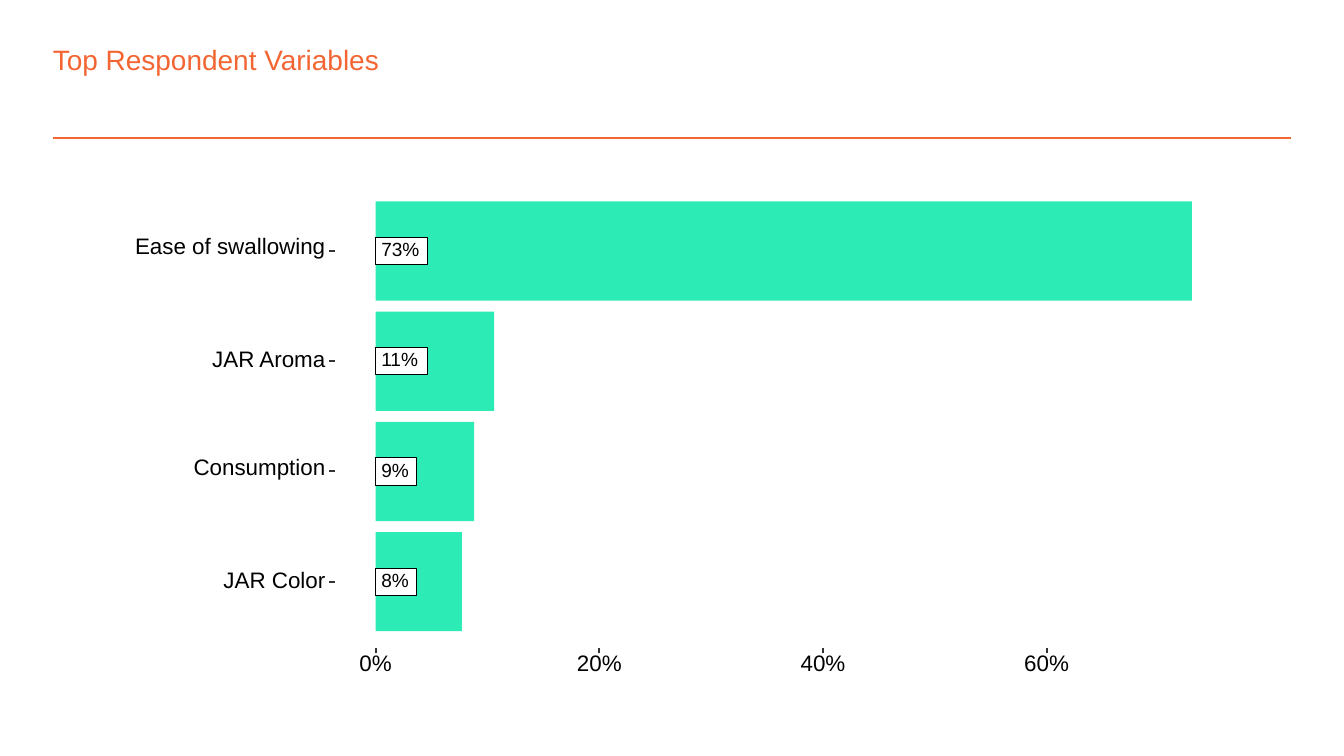
from pptx import Presentation
from pptx.dml.color import RGBColor
from pptx.enum.shapes import MSO_CONNECTOR, MSO_SHAPE
from pptx.enum.text import MSO_ANCHOR, PP_ALIGN
from pptx.oxml.ns import qn
from pptx.util import Pt
from lxml import etree

RECTANGLE = MSO_SHAPE.RECTANGLE
STRAIGHT = MSO_CONNECTOR.STRAIGHT
MIDDLE = MSO_ANCHOR.MIDDLE
LEFT, CENTER, RIGHT = PP_ALIGN.LEFT, PP_ALIGN.CENTER, PP_ALIGN.RIGHT

COLORS = {
    "accent": "F36633",
    "bar": "2DEBB5",
    "box": "FFFFFF",
    "text": "000000",
    "tick": "333333",
}
FONT = "Arial"
TITLE_ONLY = 5

# Variable, share in percent, width that holds its name on one line
VARIABLES = [
    ("Ease of swallowing", 73, 106),
    ("JAR Aroma", 10.6, 65),
    ("Consumption", 8.8, 75),
    ("JAR Color", 7.7, 59),
]
AXIS_SHARES = range(0, 61, 20)

AXIS_LEFT = 201.3
POINTS_PER_PERCENT = 5.99
FIRST_CENTER = 134.5
BAR_PITCH = 59.05
BAR_HEIGHT = 53.1
NAME_RIGHT = 174.4
NAME_HEIGHT = 9
DESCENDER_RISE = 1.5
SHARE_BOX_HEIGHT = 14.6
TICK_LENGTH = 3
TICK_LEFT = 176.4
TICK_TOP = 347


def color(name):
    return RGBColor.from_string(COLORS[name])


def write_text(frame, text, size, align, color_name="text", inset=0):
    """Fill a frame with one line of text, centred in height."""
    frame.margin_left = Pt(inset)
    frame.margin_top = frame.margin_right = frame.margin_bottom = 0
    frame.vertical_anchor = MIDDLE
    paragraph = frame.paragraphs[0]
    paragraph.alignment = align
    paragraph.line_spacing = Pt(size)
    run = paragraph.add_run()
    run.text = text
    run.font.size = Pt(size)
    run.font.name = FONT
    run.font.color.rgb = color(color_name)


def add_title(slide, text):
    title = slide.shapes.title
    title.left, title.top, title.width, title.height = Pt(28.3), Pt(23), Pt(597), Pt(18)
    write_text(title.text_frame, text, 15, LEFT, "accent")
    title.text_frame.paragraphs[0].line_spacing = 1.0


def add_line(slide, start, end, color_name, width):
    line = slide.shapes.add_connector(STRAIGHT, *map(Pt, start + end))
    line.line.color.rgb = color(color_name)
    line.line.width = Pt(width)
    etree.SubElement(line._element.spPr, qn("a:effectLst"))


def add_rectangle(slide, left, center, width, height, fill):
    rectangle = slide.shapes.add_shape(
        RECTANGLE, Pt(left), Pt(center - height / 2), Pt(width), Pt(height))
    rectangle.shadow.inherit = False
    rectangle.fill.solid()
    rectangle.fill.fore_color.rgb = color(fill)
    rectangle.line.fill.background()
    return rectangle


def add_label(slide, left, top, width, height, text, align):
    label = slide.shapes.add_textbox(Pt(left), Pt(top), Pt(width), Pt(height))
    label.text_frame.word_wrap = False
    write_text(label.text_frame, text, 12, align)


def add_share_box(slide, center, share):
    text = f"{share:.0f}%"
    width = 28 if len(text) == 3 else 22
    box = add_rectangle(slide, AXIS_LEFT, center, width, SHARE_BOX_HEIGHT, "box")
    box.line.color.rgb = color("text")
    box.line.width = Pt(0.53)
    box.text_frame.word_wrap = False
    write_text(box.text_frame, text, 10.2, LEFT, inset=3)


def add_variable(slide, center, name, share, name_width):
    """Draw one row: bar, share, name and tick."""
    add_rectangle(slide, AXIS_LEFT, center, share * POINTS_PER_PERCENT, BAR_HEIGHT, "bar")
    add_share_box(slide, center, share)
    rise = DESCENDER_RISE if set(name) & set("gpy") else 0
    add_label(slide, NAME_RIGHT - name_width, center - NAME_HEIGHT / 2 - rise,
              name_width, NAME_HEIGHT, name, RIGHT)
    add_line(slide, (TICK_LEFT, center), (TICK_LEFT + TICK_LENGTH, center), "tick", 1.07)


def add_axis_mark(slide, share):
    x = AXIS_LEFT + share * POINTS_PER_PERCENT
    text = f"{share}%"
    width = 26 if len(text) == 3 else 19
    add_line(slide, (x, TICK_TOP + TICK_LENGTH), (x, TICK_TOP), "tick", 1.07)
    add_label(slide, x - width / 2, 351.2, width, 9.4, text, CENTER)


def main():
    presentation = Presentation()
    presentation.slide_width, presentation.slide_height = Pt(720), Pt(405)
    slide = presentation.slides.add_slide(presentation.slide_layouts[TITLE_ONLY])
    add_line(slide, (28.3, 74), (691.7, 74), "accent", 1)
    add_title(slide, "Top Respondent Variables")
    for row, (name, share, name_width) in enumerate(VARIABLES):
        add_variable(slide, FIRST_CENTER + row * BAR_PITCH, name, share, name_width)
    for share in AXIS_SHARES:
        add_axis_mark(slide, share)
    presentation.save("out.pptx")


if __name__ == "__main__":
    main()
